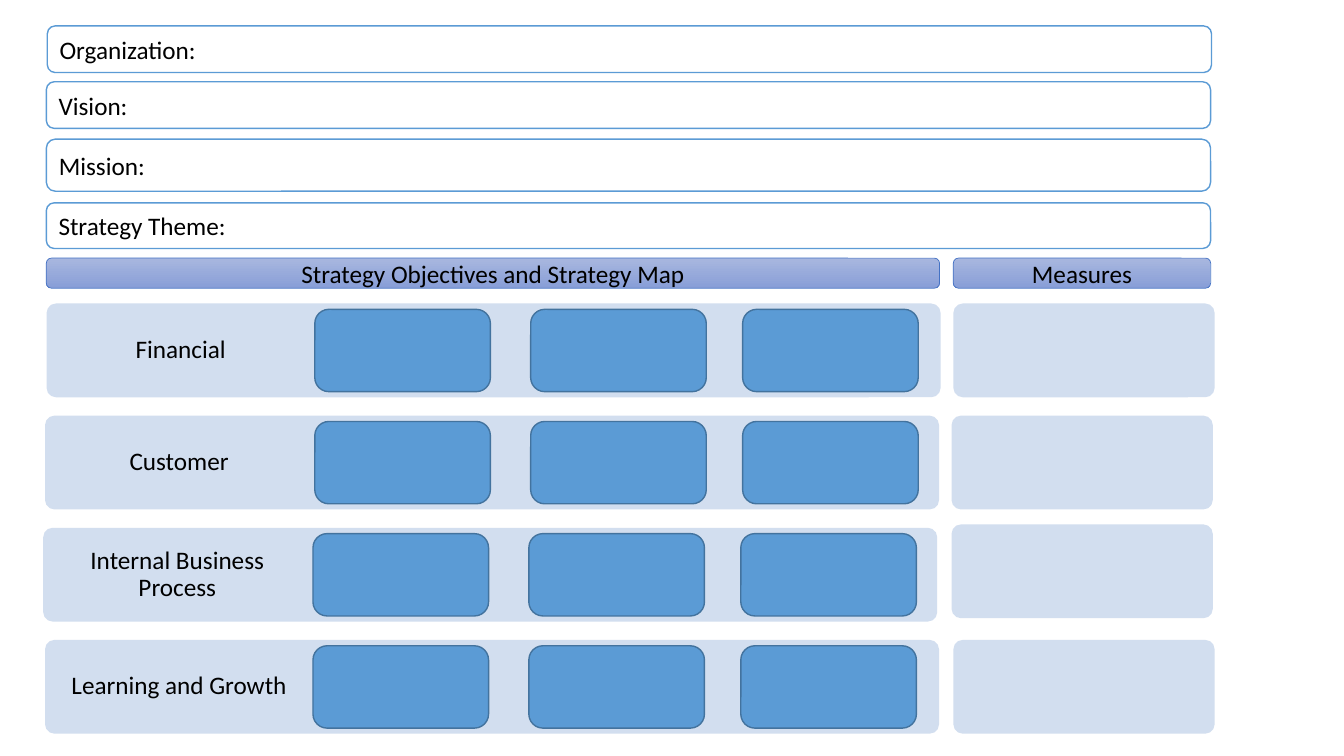
from pptx import Presentation
from pptx.dml.color import RGBColor
from pptx.enum.shapes import MSO_SHAPE as SHAPE
from pptx.enum.text import MSO_ANCHOR as ANCHOR, PP_ALIGN as ALIGN
from pptx.util import Pt


def rgb(code):
    """Turn a hex string into a colour."""
    return RGBColor.from_string(code)


def assign(target, values):
    """Set each attribute named in a dict."""
    for name, value in values.items():
        setattr(target, name, value)


class Board:
    """Hold the style and the current slide."""

    font = {"name": "Calibri", "size": Pt(18)}
    frame = {"word_wrap": True, "vertical_anchor": ANCHOR.MIDDLE}
    label_frame = {side: Pt(13.5) for side in
                   ("margin_left", "margin_top", "margin_right", "margin_bottom")}
    field = {"fill": "FFFFFF", "line": "5B9BD5"}
    header = {"fill": ("A8B7DF", "889ED7"), "line": "4472C4", "weight": 0.5}
    panel = {"fill": "D2DEEF", "corner": 0.1}
    objective = {"fill": "5B9BD5", "line": "43739E"}

    def __init__(self, slide):
        """Keep the slide to draw on."""
        self.slide = slide

    def caption(self, sp, text, align, frame=None, paragraph=None):
        """Put one styled paragraph into a shape."""
        tf = sp.text_frame
        assign(tf, {**self.frame, **(frame or {})})
        p = tf.paragraphs[0]
        assign(p, {"alignment": align, **(paragraph or {})})
        r = p.add_run()
        r.text = text
        assign(r.font, self.font)
        r.font.color.rgb = rgb("000000")

    def box(self, x, y, w, h, fill, line=None, weight=1, corner=0.16667):
        """Draw a rounded box with a plain or two-colour fill."""
        sp = self.slide.shapes.add_shape(
            SHAPE.ROUNDED_RECTANGLE, Pt(x), Pt(y), Pt(w), Pt(h))
        sp.shadow.inherit = False
        sp.adjustments[0] = round(corner, 2)
        if isinstance(fill, tuple):
            sp.fill.gradient()
            sp.fill.gradient_angle = 270
            for stop, code in zip(sp.fill.gradient_stops, fill):
                stop.color.rgb = rgb(code)
        else:
            sp.fill.solid()
            sp.fill.fore_color.rgb = rgb(fill)
        if line:
            sp.line.color.rgb = rgb(line)
            sp.line.width = Pt(weight)
        else:
            sp.line.fill.background()
        return sp

    def label(self, x, y, w, h, text):
        """Add a centred label."""
        sp = self.slide.shapes.add_textbox(Pt(x), Pt(y), Pt(w), Pt(h))
        self.caption(sp, text, ALIGN.CENTER, self.label_frame, {"line_spacing": 0.9})


prs = Presentation()
assign(prs, {"slide_width": Pt(960), "slide_height": Pt(540)})
s = Board(prs.slides.add_slide(prs.slide_layouts[6]))

FIELDS = [("Organization:", 33.8, 18.5, 33.3), ("Vision:", 33.1, 58.4, 33.3),
          ("Mission:", 33.1, 99.4, 37.2), ("Strategy Theme:", 33.1, 144.9, 32.6)]
for text, x, y, h in FIELDS:
    s.caption(s.box(x, y, 831.6, h, **s.field), text, ALIGN.LEFT)

HEADERS = [("Strategy Objectives and Strategy Map", 33.1, 638),
           ("Measures", 681, 183.8)]
for text, x, w in HEADERS:
    s.caption(s.box(x, 184.4, w, 21.5, **s.header), text, ALIGN.CENTER)

PERSPECTIVES = [("Financial", 33.3, 681, 0, 224.9),
                ("Customer", 32.2, 679.7, 0, 224.9),
                ("Internal Business Process", 30.9, 679.7, -2.4, 223.6),
                ("Learning and Growth", 32.2, 681, 0, 223.6)]
TOP, PITCH, ROW_H = 216.8, 80.1, 67
for i, (text, x, measure_x, measure_dy, objective_x) in enumerate(PERSPECTIVES):
    y = TOP + i * PITCH
    s.box(x, y, 638.6, ROW_H, **s.panel)
    s.label(x, y, 191.5, ROW_H, text)
    s.box(measure_x, y + measure_dy, 186.6, ROW_H, **s.panel)
    for offset in (0, 154.2, 305.6):
        s.box(objective_x + offset, y + 4.2, 125.4, 58.8, **s.objective)

prs.save("out.pptx")
